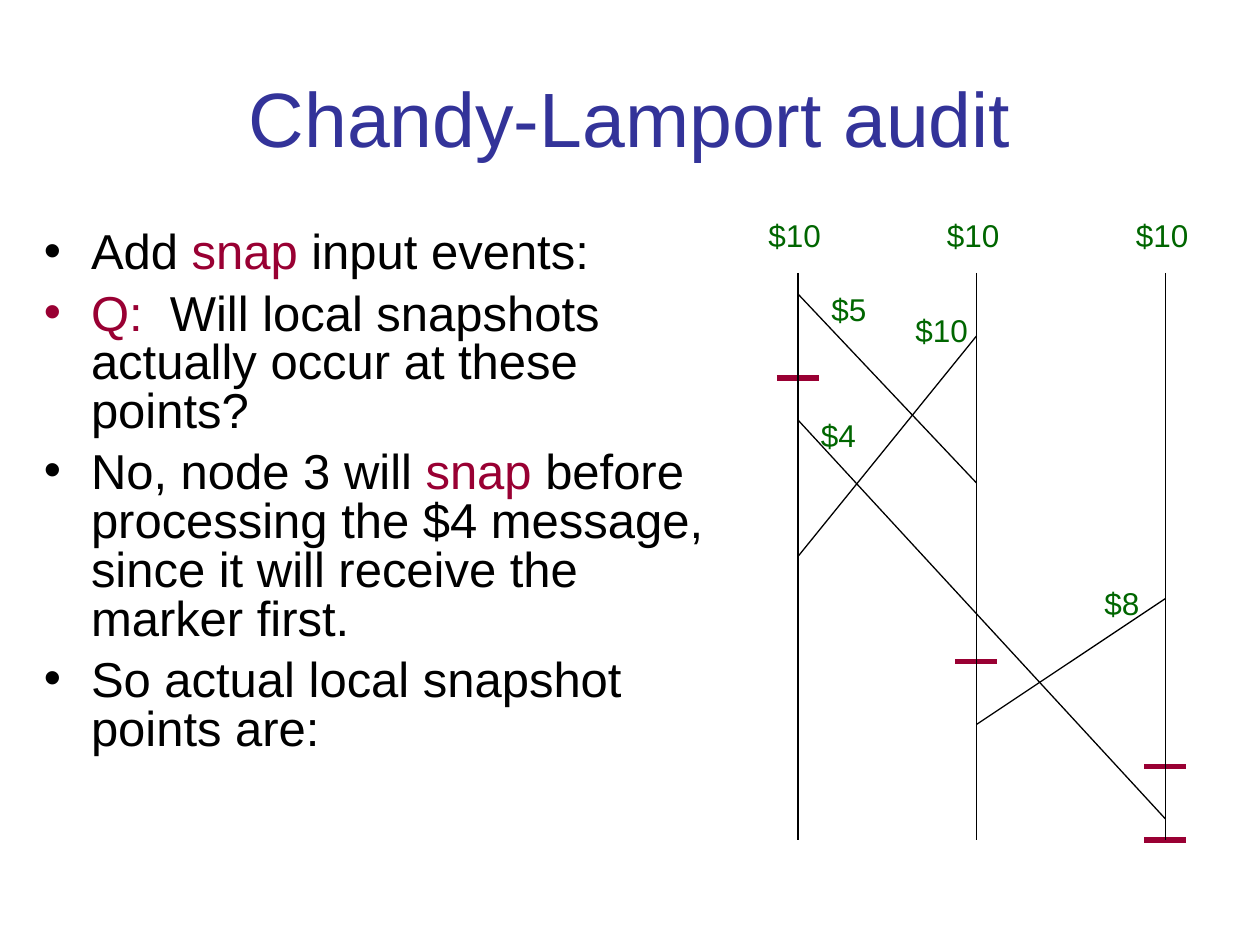
import pptx
import pptx.util
import pptx.dml.color
import pptx.enum.shapes
import pptx.enum.text
from lxml import etree

Cm = pptx.util.Cm
Pt = pptx.util.Pt
ALIGN = pptx.enum.text.PP_ALIGN
ANCHOR = pptx.enum.text.MSO_ANCHOR
FONT = "Arial"
COLORS = {"title": "333399", "text": "000000", "snap": "990033", "money": "006600"}

TITLE = "Chandy-Lamport audit"
BULLETS = [
    [("Add ", "text"), ("snap", "snap"), (" input events:", "text")],
    [("Q:", "snap"),
     ("  Will local snapshots actually occur at these points?", "text")],
    [("No, node 3 will ", "text"), ("snap", "snap"),
     (" before processing the $4 message, since it will receive the marker first.",
      "text")],
    [("So actual local snapshot points are:", "text")],
]

# Diagram positions count grid steps of a twelfth of an inch.
NODES = [76, 93, 111]
START_BALANCE = "$10"
TIME_START, TIME_END = 26, 80
BALANCE_TOP = 20
# sending node, send time, receiving node, receive time, amount, label left, label top
MESSAGES = [
    (0, 28, 1, 46, "$5", 78, 27),
    (1, 32, 0, 53, "$10", 86, 29),
    (0, 40, 2, 78, "$4", 77, 39),
    (2, 57, 1, 69, "$8", 104, 55),
]
SNAPS = [(0, 36), (1, 63), (2, 80), (2, 73)]  # node, time
SNAP_REACH = 2


def grid(steps):
    return Cm(steps * 2.54 / 12)


def set_format(target, values):
    for name, value in values.items():
        setattr(target, name, value)


def add_line(slide, x1, y1, x2, y2, color="text", width=0.75):
    line = slide.shapes.add_connector(
        pptx.enum.shapes.MSO_CONNECTOR.STRAIGHT,
        grid(x1), grid(y1), grid(x2), grid(y2))
    line.line.color.rgb = pptx.dml.color.RGBColor.from_string(COLORS[color])
    line.line.width = Pt(width)
    etree.SubElement(line._element.spPr, pptx.oxml.ns.qn("a:effectLst"))


def add_text_box(slide, left, top, width, height, **frame_format):
    box = slide.shapes.add_textbox(grid(left), grid(top), grid(width), grid(height))
    set_format(box.text_frame, frame_format)
    return box.text_frame


def add_run(paragraph, text, size, color):
    run = paragraph.add_run()
    run.text = text
    set_format(run.font, {"name": FONT, "size": Pt(size)})
    run.font.color.rgb = pptx.dml.color.RGBColor.from_string(COLORS[color])


def add_bullet(paragraph, color):
    properties = paragraph._p.get_or_add_pPr()
    properties.set("marL", str(Cm(0.95)))
    properties.set("indent", str(-Cm(0.95)))
    qn = pptx.oxml.ns.qn
    bullet_color = etree.SubElement(properties, qn("a:buClr"))
    etree.SubElement(bullet_color, qn("a:srgbClr"), val=COLORS[color])
    etree.SubElement(properties, qn("a:buFont"), typeface=FONT)
    etree.SubElement(properties, qn("a:buChar"), char="•")


def add_amount(slide, text, left, top):
    width = 2.6 + 1.6 * len(text)
    frame = add_text_box(slide, left, top, width, 4.8, word_wrap=False,
                         auto_size=pptx.enum.text.MSO_AUTO_SIZE.SHAPE_TO_FIT_TEXT)
    add_run(frame.paragraphs[0], text, 18, "money")


def add_bullets(slide):
    frame = add_text_box(slide, 3, 21.4, 68, 55, word_wrap=True)
    for index, parts in enumerate(BULLETS):
        paragraph = frame.add_paragraph() if index else frame.paragraphs[0]
        add_bullet(paragraph, parts[0][1])
        set_format(paragraph, {"line_spacing": 0.83,
                               "space_before": Pt(7 if index else 0)})
        for text, color in parts:
            add_run(paragraph, text, 28, color)


def add_diagram(slide):
    for node, time in SNAPS:
        x = NODES[node]
        add_line(slide, x - SNAP_REACH, time, x + SNAP_REACH, time, "snap", 3)
    for x in NODES:
        add_line(slide, x, TIME_START, x, TIME_END)
        add_amount(slide, START_BALANCE, x - 4, BALANCE_TOP)
    for sender, sent, receiver, received, amount, left, top in MESSAGES:
        add_line(slide, NODES[sender], sent, NODES[receiver], received)
        add_amount(slide, amount, left, top)


def main():
    presentation = pptx.Presentation()
    set_format(presentation, {"slide_width": Cm(25.4), "slide_height": Cm(19.05)})
    slide = presentation.slides.add_slide(presentation.slide_layouts[6])
    title = add_text_box(slide, 6, 3.6, 108, 15, word_wrap=True,
                         vertical_anchor=ANCHOR.MIDDLE)
    title.paragraphs[0].alignment = ALIGN.CENTER
    add_run(title.paragraphs[0], TITLE, 44, "title")
    add_bullets(slide)
    add_diagram(slide)
    presentation.save("out.pptx")


if __name__ == "__main__":
    main()
